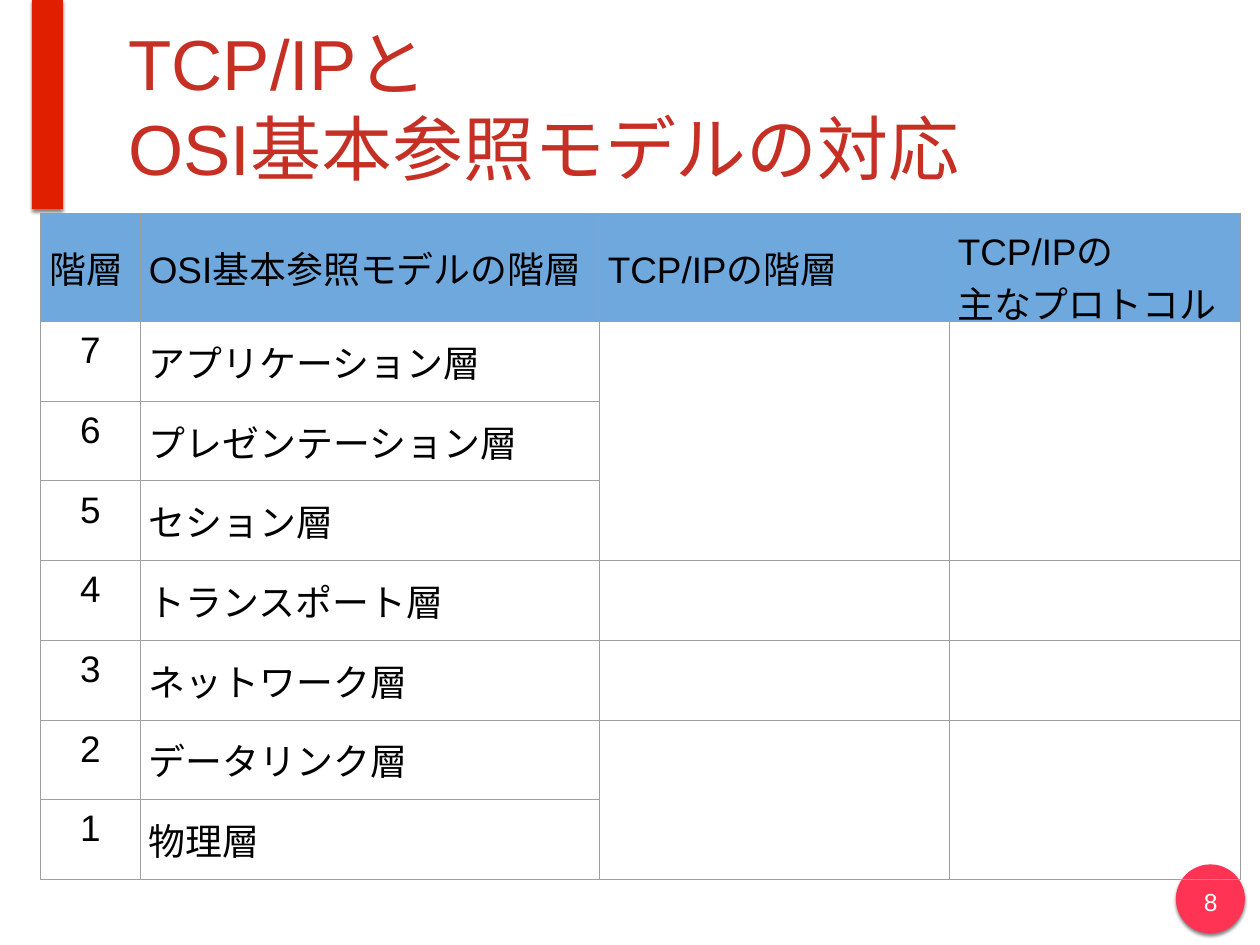
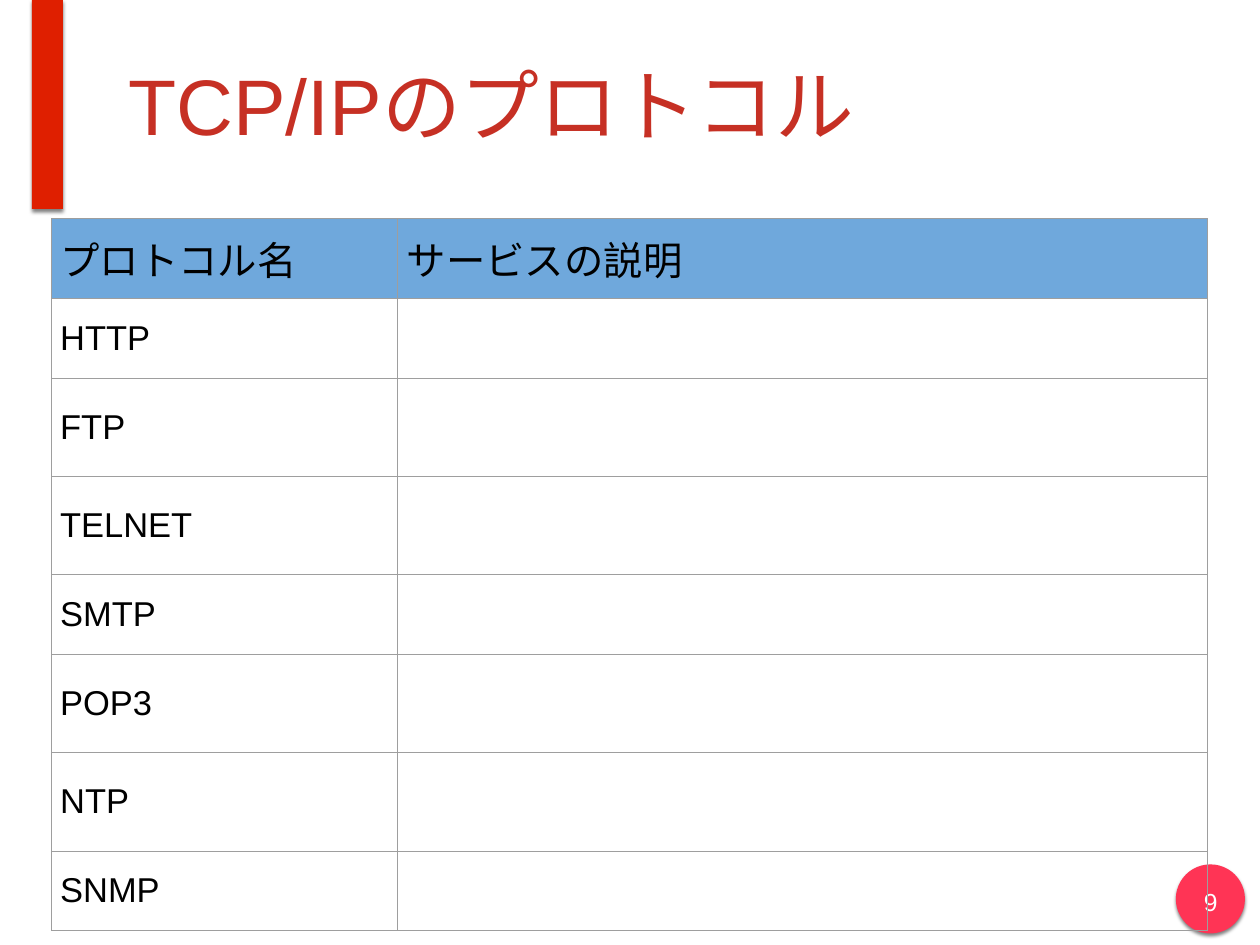
"""Build two slides on the TCP/IP layers and protocols."""
from lxml import etree
from pptx import Presentation
from pptx.dml.color import RGBColor
from pptx.enum.shapes import MSO_SHAPE
from pptx.enum.text import MSO_ANCHOR, PP_ALIGN
from pptx.oxml import parse_xml
from pptx.oxml.ns import nsdecls, qn
from pptx.util import Inches, Pt

OVAL, RECT = MSO_SHAPE.OVAL, MSO_SHAPE.RECTANGLE
TOP, MIDDLE = MSO_ANCHOR.TOP, MSO_ANCHOR.MIDDLE
LEFT, CENTER = PP_ALIGN.LEFT, PP_ALIGN.CENTER

FONT = "Arial"
RED, PINK, TITLE = "DF1F00", "FF3455", "C63024"
BLUE, GRAY, BLACK, WHITE = "6FA8DC", "9E9E9E", "000000", "FFFFFF"

SLIDES = [
    {
        "title": "TCP/IPと\nOSI基本参照モデルの対応", "size": 57.6, "page": "8",
        "at": (0.46, 2.41),
        "cols": [1.12, 5.18, 3.95, 3.29],
        "rows": [1.22] + [0.9] * 7,
        "sizes": (30, 30),
        "cells": [
            ("階層", "OSI基本参照モデルの階層", "TCP/IPの階層",
             "TCP/IPの\n主なプロトコル"),
            ("7", "アプリケーション層"),
            ("6", "プレゼンテーション層"),
            ("5", "セション層"),
            ("4", "トランスポート層"),
            ("3", "ネットワーク層"),
            ("2", "データリンク層"),
            ("1", "物理層"),
        ],
        "spans": [(1, 3), (6, 7)],
    },
    {
        "title": "TCP/IPのプロトコル", "size": 64, "page": "9",
        "at": (0.58, 2.47),
        "cols": [3.91, 9.14],
        "rows": [0.9, 0.9, 1.11, 1.11, 0.9, 1.11, 1.11, 0.9],
        "sizes": (32, 28),
        "cells": [("プロトコル名", "サービスの説明"), ("HTTP",), ("FTP",),
                  ("TELNET",), ("SMTP",), ("POP3",), ("NTP",), ("SNMP",)],
        "spans": [],
    },
]


def rgb(code):
    """Turn a hex string into a colour."""
    return RGBColor.from_string(code)


def write(frame, text, size, color=BLACK, align=LEFT, east=None):
    """Fill a text frame, one paragraph per line."""
    frame.text = text
    for para in frame.paragraphs:
        para.alignment = align
        for run in para.runs:
            font = run.font
            font.name, font.size = FONT, Pt(size)
            font.color.rgb = rgb(color)
            if east:
                mark = etree.SubElement(run._r.get_or_add_rPr(), qn("a:ea"))
                mark.set("typeface", east)


def inset(frame, gap):
    """Give a text frame equal margins."""
    frame.margin_left = frame.margin_right = Inches(gap)
    frame.margin_top = frame.margin_bottom = Inches(gap)


def block(slide, kind, box, color):
    """Draw a filled shape with a soft shadow below it."""
    shape = slide.shapes.add_shape(kind, *map(Inches, box))
    shape.fill.solid()
    shape.fill.fore_color.rgb = rgb(color)
    shape.line.fill.background()
    shape.shadow.inherit = False
    glow = shape._element.spPr.find(qn("a:effectLst"))
    glow.append(parse_xml(
        f'<a:outerShdw {nsdecls("a")} blurRad="{Pt(3)}" dist="{Pt(2)}" '
        'dir="5400000" rotWithShape="0"><a:srgbClr val="000000">'
        '<a:alpha val="50000"/></a:srgbClr></a:outerShdw>'))


def frame_page(slide, title, size, page):
    """Add the shared band, badge, title and page number."""
    block(slide, OVAL, (13.27, 9.76, 0.78, 0.78), PINK)
    block(slide, RECT, (0.36, 0, 0.35, 2.36), RED)
    head = slide.shapes.title
    head.left, head.top = Inches(1.39), Inches(0.12)
    head.width, head.height = Inches(12.14), Inches(2.12)
    frame = head.text_frame
    frame.vertical_anchor = MIDDLE
    inset(frame, 0.06)
    write(frame, title, size, TITLE, east=FONT)
    box = map(Inches, (13.42, 9.95, 0.49, 0.45))
    frame = slide.shapes.add_textbox(*box).text_frame
    frame.word_wrap = True
    inset(frame, 0.06)
    write(frame, page, 20, WHITE, CENTER)


def border(cell):
    """Rule all four sides of a cell."""
    props = cell._tc.get_or_add_tcPr()
    for side in "LRTB":
        props.append(parse_xml(
            f'<a:ln{side} {nsdecls("a")} w="{Pt(0.75)}"><a:solidFill>'
            f'<a:srgbClr val="{GRAY}"/></a:solidFill></a:ln{side}>'))


def add_grid(slide, data):
    """Build the table with its header, rules and merged cells."""
    cols, rows = data["cols"], data["rows"]
    box = map(Inches, (*data["at"], sum(cols), sum(rows)))
    grid = slide.shapes.add_table(len(rows), len(cols), *box).table
    grid.first_row = grid.horz_banding = False
    for col, width in zip(grid.columns, cols):
        col.width = Inches(width)
    for r, (row, high, texts) in enumerate(
            zip(grid.rows, rows, data["cells"])):
        row.height = Inches(high)
        for c, cell in enumerate(row.cells):
            border(cell)
            if r:
                cell.fill.background()
            else:
                cell.fill.solid()
                cell.fill.fore_color.rgb = rgb(BLUE)
            inset(cell, 0.1)
            text = texts[c] if c < len(texts) else ""
            digit = text.isdigit()
            cell.vertical_anchor = TOP if digit else MIDDLE
            write(cell.text_frame, text, data["sizes"][min(r, 1)],
                  align=CENTER if digit else LEFT)
    for first, last in data["spans"]:
        for c in (2, 3):
            grid.cell(first, c).merge(grid.cell(last, c))


def main():
    """Build and save the deck."""
    deck = Presentation()
    deck.slide_width, deck.slide_height = Inches(14.22), Inches(10.67)
    for data in SLIDES:
        slide = deck.slides.add_slide(deck.slide_layouts[5])
        frame_page(slide, data["title"], data["size"], data["page"])
        add_grid(slide, data)
    deck.save("out.pptx")


if __name__ == "__main__":
    main()
